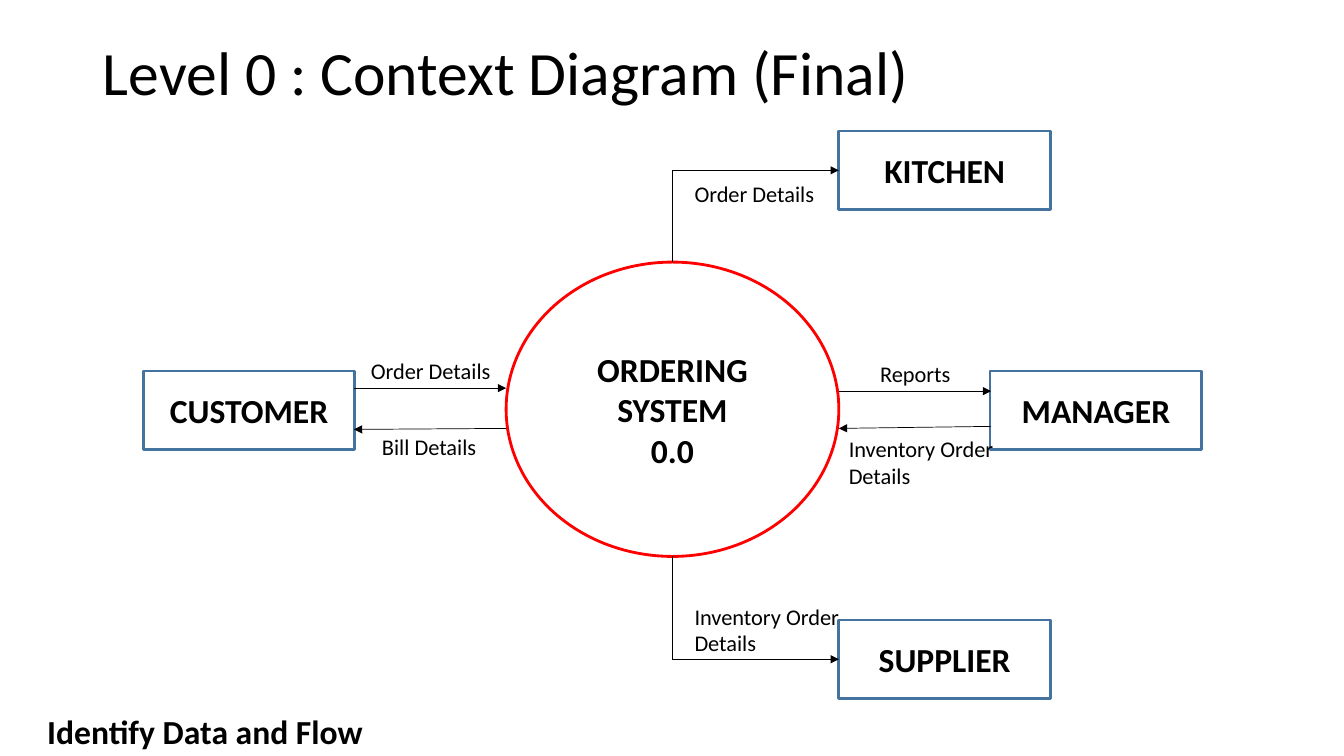
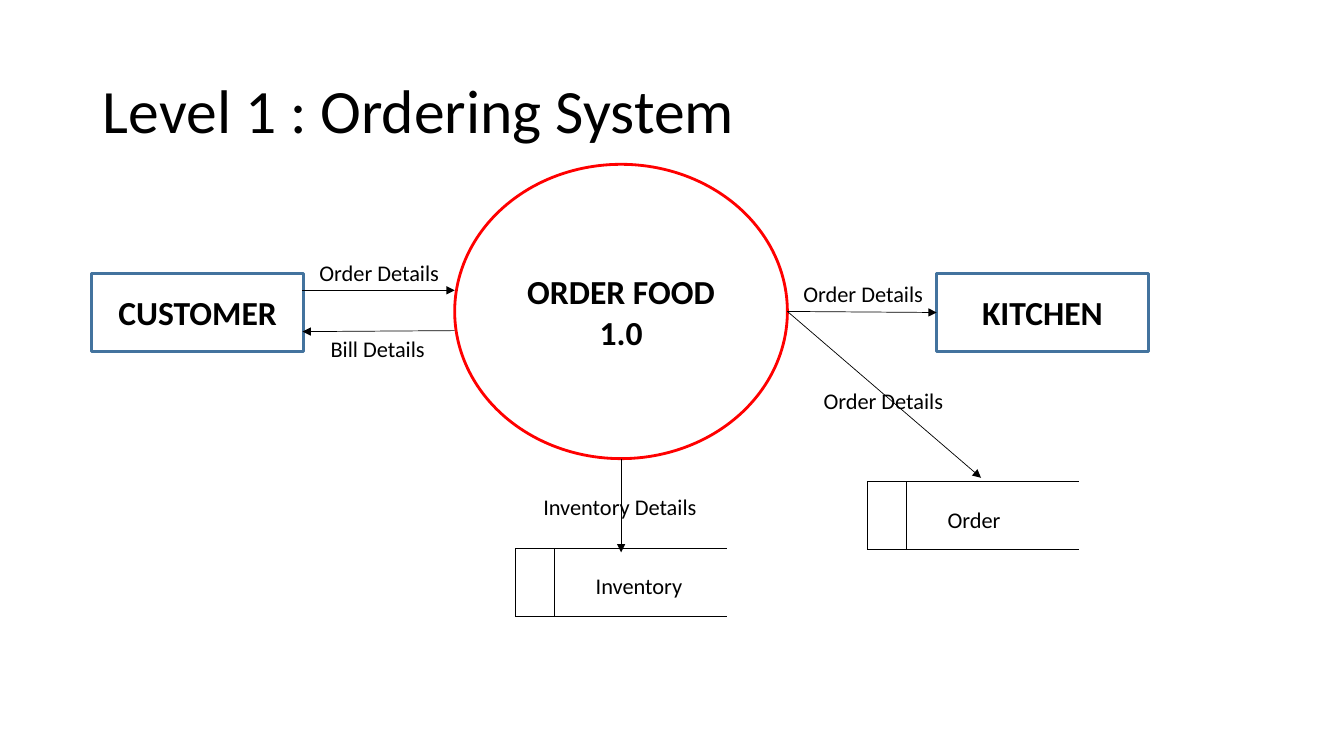
from lxml import etree
from pptx import Presentation
from pptx import util as u
from pptx.dml.color import RGBColor
from pptx.enum import shapes, text
from pptx.oxml.ns import qn

FONT = "Calibri"
COLORS = {"ink": "000000", "entity": "43739E", "process": "FF0000"}
ENTITY = (2.1, 0.78)
CIRCLE = (3.3, 2.92)
STORE = (2.1, 0.67)
DIVIDER = 0.39


def inches(*sizes):
    return [u.Inches(size) for size in sizes]


def color(name):
    return RGBColor.from_string(COLORS[name])


def write(frame, words, size=16, bold=False, align=text.PP_ALIGN.LEFT, space=None):
    frame.text = words
    for para in frame.paragraphs:
        para.alignment = align
        para.line_spacing = space
        font = para.font
        font.name, font.size, font.bold = FONT, u.Pt(size), bold
        font.color.rgb = color("ink")


def title(slide, words, top):
    head = slide.shapes.title
    head.left, head.top, head.width, head.height = inches(0.92, top, 11.5, 1.45)
    frame = head.text_frame
    frame.auto_size = text.MSO_AUTO_SIZE.NONE
    frame.vertical_anchor = text.MSO_ANCHOR.MIDDLE
    write(frame, words, size=44, space=0.9)


def label(slide, words, x, y, wide, high=0.37, **style):
    box = slide.shapes.add_textbox(*inches(x, y, wide, high))
    frame = box.text_frame
    frame.word_wrap = False
    frame.auto_size = text.MSO_AUTO_SIZE.SHAPE_TO_FIT_TEXT
    write(frame, words, **style)


def node(slide, kind, words, x, y, size, edge):
    """Draw an outlined shape with a bold centred name."""
    shape = slide.shapes.add_shape(kind, *inches(x, y, *size))
    shape.shadow.inherit = False
    shape.fill.background()
    shape.line.color.rgb = color(edge)
    shape.line.width = u.Pt(2)
    frame = shape.text_frame
    frame.word_wrap = True
    frame.vertical_anchor = text.MSO_ANCHOR.MIDDLE
    write(frame, words, size=24, bold=True, align=text.PP_ALIGN.CENTER)


def entity(slide, words, x, y):
    node(slide, shapes.MSO_SHAPE.RECTANGLE, words, x, y, ENTITY, "entity")


def process(slide, words, x, y):
    node(slide, shapes.MSO_SHAPE.OVAL, words, x, y, CIRCLE, "process")


def line(slide, start, end, arrow=False):
    link = slide.shapes.add_connector(
        shapes.MSO_CONNECTOR.STRAIGHT, *inches(*start, *end))
    link.line.color.rgb = color("ink")
    link.line.width = u.Pt(0.5)
    if arrow:
        tip = etree.SubElement(link.line._get_or_add_ln(), qn("a:tailEnd"))
        tip.set("type", "triangle")
    etree.SubElement(link._element.spPr, qn("a:effectLst"))


def elbow(slide, start, end):
    """Go up or down from start, then across to an arrowhead."""
    bend = (start[0], end[1])
    line(slide, start, bend)
    line(slide, bend, end, arrow=True)


def customer(slide, x, y):
    """Place the customer and its two flows left of a circle at x, y."""
    entity(slide, "CUSTOMER", x - 3.6, y + 1.08)
    near = x - 1.51
    line(slide, (near, y + 1.25), (x, y + 1.25), arrow=True)
    line(slide, (x, y + 1.65), (near, y + 1.66), arrow=True)
    label(slide, "Order Details", x - 1.44, y + 0.89, 1.4)
    label(slide, "Bill Details", x - 1.33, y + 1.65, 1.15)


def manager(slide, x, y):
    """Place the manager and its two flows right of a circle at x, y."""
    edge = x + CIRCLE[0]
    far = edge + 1.51
    entity(slide, "MANAGER", edge + 1.5, y + 1.08)
    line(slide, (edge, y + 1.28), (far, y + 1.28), arrow=True)
    line(slide, (far, y + 1.63), (edge, y + 1.65), arrow=True)
    label(slide, "Reports", edge + 0.31, y + 0.92, 0.91)
    label(slide, "Inventory Order\nDetails", edge, y + 1.67, 1.66, 0.64)


def store(slide, words, x, y, wide):
    """Draw an open-ended data store."""
    right, base = x + STORE[0], y + STORE[1]
    for side in (x, x + DIVIDER):
        line(slide, (side, y), (side, base))
    for level in (y, base):
        line(slide, (x, level), (right, level))
    label(slide, words, x + 0.7, y + 0.19, wide)


def context(slide):
    title(slide, "Level 0 : Context Diagram (Final)", 0.02)
    x, y = 5.02, 2.6
    mid, edge, base = x + CIRCLE[0] / 2, x + CIRCLE[0], y + CIRCLE[1]
    process(slide, "ORDERING SYSTEM\n0.0", x, y)
    customer(slide, x, y)
    manager(slide, x, y)
    for words, top, start in (("KITCHEN", 1.3, y), ("SUPPLIER", 6.15, base)):
        entity(slide, words, edge, top)
        elbow(slide, (mid, start), (edge, top + ENTITY[1] / 2))
    label(slide, "Order Details", mid + 0.12, 1.74, 1.4)
    label(slide, "Inventory Order\nDetails", mid + 0.12, 5.93, 1.66, 0.64)
    label(slide, "Identify Data and Flow", 0.37, 7, 3.36, 0.5, size=24, bold=True)


def ordering(slide):
    title(slide, "Level 1 : Ordering System", 0.4)
    x, y = 4.51, 1.63
    mid, edge, base = x + CIRCLE[0] / 2, x + CIRCLE[0], y + CIRCLE[1]
    process(slide, "ORDER FOOD\n1.0", x, y)
    customer(slide, x, y)
    entity(slide, "KITCHEN", 9.29, 2.71)
    store(slide, "Order", 8.6, 4.78, 0.74)
    store(slide, "Inventory", 5.11, 5.44, 1.07)
    hub = (edge, y + CIRCLE[1] / 2)
    for start, end in ((hub, (9.29, 3.1)), (hub, (9.73, 4.74)),
                       ((mid, base), (mid, 5.48))):
        line(slide, start, end, arrow=True)
    for words, left, top, wide in (("Order Details", 7.87, 2.73, 1.4),
                                   ("Order Details", 8.07, 3.79, 1.4),
                                   ("Inventory Details", 5.29, 4.84, 1.74)):
        label(slide, words, left, top, wide)


def main():
    deck = Presentation()
    deck.slide_width, deck.slide_height = inches(13.33, 7.5)
    for build in (context, ordering):
        build(deck.slides.add_slide(deck.slide_layouts[5]))
    deck.save("out.pptx")


if __name__ == "__main__":
    main()
